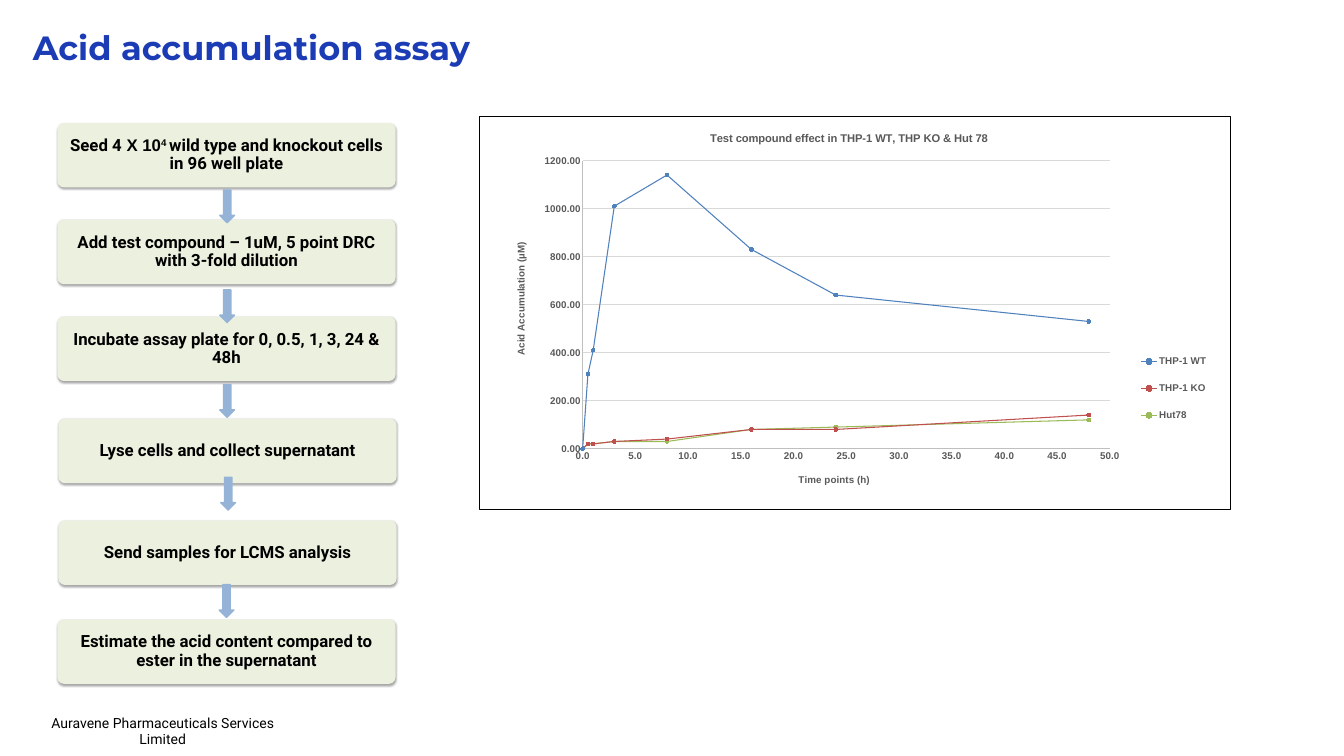
from lxml.etree import SubElement
from pptx import Presentation
from pptx.chart.data import XyChartData
from pptx.dml.color import RGBColor
from pptx.enum.chart import (XL_CHART_TYPE as ChartType, XL_LEGEND_POSITION as LegendPosition,
                             XL_MARKER_STYLE as Marker, XL_TICK_MARK as TickMark)
from pptx.enum.shapes import MSO_SHAPE as Shape
from pptx.enum.text import MSO_ANCHOR as Anchor, PP_ALIGN as Align
from pptx.oxml import parse_xml
from pptx.oxml.ns import nsdecls, qn
from pptx.util import Pt

STEP_HEIGHT = 92
ARROW_WIDTH, ARROW_HEIGHT = 21, 46.8
BOX_LEFT = 82
# Each step: left and top offset in the flow, then runs of (text, font, baseline)
STEPS = [
    (0, 0, [("Seed 4", "Roboto", 0), (" X 10", "Arial", 0), ("4 ", "Arial", 30000),
            ("wild type and knockout cells in 96 well plate", "Roboto", 0)]),
    (0, 138.3, [("Add test compound – 1uM, 5 point DRC with 3-fold dilution", "Roboto", 0)]),
    (0, 276.5, [("Incubate assay plate for 0, 0.5, 1, 3, 24 & 48h", "Roboto", 0)]),
    (1.5, 422.6, [("Lyse cells and collect supernatant", "Roboto", 0)]),
    (1.5, 568, [("Send samples for LCMS analysis", "Roboto", 0)]),
    (0, 709.2, [("Estimate the acid content compared to ester in the supernatant", "Roboto", 0)]),
]
ARROWS = [(232, 95.7), (232, 238.3), (232, 373.6), (233.4, 506.1), (231.2, 659.5)]

TIME_POINTS = [0, 0.5, 1, 3, 8, 16, 24, 48]
SERIES = [
    ("THP-1 WT", "4F81BD", [0, 310, 410, 1010, 1140, 830, 640, 530]),
    ("THP-1 KO", "C0504D", [0, 20, 20, 30, 40, 80, 80, 140]),
    ("Hut78", "9BBB59", [0, 20, 20, 30, 30, 80, 90, 120]),
]


def rgb(color):
    return RGBColor.from_string(color)


def style_font(font, size, name, color, bold=True):
    font.size, font.name, font.bold = Pt(size), name, bold
    font.color.rgb = rgb(color)


def style_line(line, color, width):
    line.color.rgb = rgb(color)
    line.width = Pt(width)


def set_margins(frame, left, top, right, bottom):
    frame.margin_left, frame.margin_top = Pt(left), Pt(top)
    frame.margin_right, frame.margin_bottom = Pt(right), Pt(bottom)


def fill_title(title, left, top, width, height):
    title.left, title.top, title.width, title.height = Pt(left), Pt(top), Pt(width), Pt(height)
    frame = title.text_frame
    frame.text = "Acid accumulation assay"
    frame.vertical_anchor = Anchor.MIDDLE
    set_margins(frame, 47, 0, 0, 0)
    frame.paragraphs[0].alignment = Align.LEFT
    style_font(frame.paragraphs[0].runs[0].font, 48, "Montserrat", "1C3CB6")


def add_soft_shadow(shape):
    shape._element.spPr.append(parse_xml(
        f'<a:effectLst {nsdecls("a")}><a:outerShdw blurRad="{Pt(3.1)}" dist="{Pt(1.8)}" '
        'dir="5400000" rotWithShape="0"><a:srgbClr val="000000"><a:alpha val="35000"/>'
        '</a:srgbClr></a:outerShdw></a:effectLst>'))


def add_step(shapes, left, top, width, runs):
    step = shapes.add_shape(Shape.ROUNDED_RECTANGLE, Pt(left), Pt(top), Pt(width), Pt(STEP_HEIGHT))
    step.adjustments[0] = 0.1
    step.fill.solid()
    step.fill.fore_color.rgb = rgb("EBF1DE")
    step.line.fill.background()
    add_soft_shadow(step)
    frame = step.text_frame
    frame.word_wrap = True
    frame.vertical_anchor = Anchor.MIDDLE
    set_margins(frame, 10, 10, 10, 10)
    paragraph = frame.paragraphs[0]
    paragraph.alignment = Align.CENTER
    paragraph.line_spacing = 0.9
    for text, font_name, baseline in runs:
        run = paragraph.add_run()
        run.text = text
        style_font(run.font, 24, font_name, "000000")
        if baseline:
            run.font._element.set("baseline", str(baseline))


def add_protocol(shapes, left, top, width):
    """Draw the assay steps from top to bottom, with arrows between them."""
    for dx, dy, runs in STEPS:
        add_step(shapes, left + dx, top + dy, width, runs)
    for dx, dy in ARROWS:
        arrow = shapes.add_shape(Shape.DOWN_ARROW, Pt(left + dx), Pt(top + dy),
                                 Pt(ARROW_WIDTH), Pt(ARROW_HEIGHT))
        arrow.shadow.inherit = False
        arrow.fill.solid()
        arrow.fill.fore_color.rgb = rgb("95B3D7")
        style_line(arrow.line, "95B3D7", 2)


def set_layout(element, inner=False, **fractions):
    """Place a chart part by fractions (x, y, w, h) of the chart area."""
    for old in element.findall(qn("c:layout")):
        element.remove(old)
    layout = element.makeelement(qn("c:layout"))
    manual = SubElement(layout, qn("c:manualLayout"))
    if inner:
        SubElement(manual, qn("c:layoutTarget")).set("val", "inner")
    for mode in ("xMode", "yMode"):
        SubElement(manual, qn(f"c:{mode}")).set("val", "edge")
    for key, value in fractions.items():
        SubElement(manual, qn(f"c:{key}")).set("val", str(value))
    before = [child for child in element if child.tag in (qn("c:tx"), qn("c:legendPos"))]
    element.insert(element.index(before[0]) + 1 if before else 0, layout)


def set_chart_title(title, text, size, x, y):
    title.text_frame.text = text
    style_font(title.text_frame.paragraphs[0].runs[0].font, size, "Arial", "595959")
    set_layout(title._element, x=x, y=y)


def style_axis(axis, maximum, step, number_format):
    axis.minimum_scale, axis.maximum_scale, axis.major_unit = 0, maximum, step
    axis.major_tick_mark = axis.minor_tick_mark = TickMark.NONE
    axis.tick_labels.number_format = number_format
    axis.tick_labels.number_format_is_linked = False
    style_font(axis.tick_labels.font, 14, "Arial", "595959")
    style_line(axis.format.line, "BFBFBF", 0.75)


def add_accumulation_chart(shapes, left, top, width, height):
    data = XyChartData()
    for name, _, values in SERIES:
        series = data.add_series(name)
        for hour, value in zip(TIME_POINTS, values):
            series.add_data_point(hour, value)
    chart = shapes.add_chart(ChartType.XY_SCATTER_LINES, Pt(left), Pt(top),
                             Pt(width), Pt(height), data).chart
    style_font(chart.font, 14, "Arial", "000000")
    chart.plots[0].vary_by_categories = False
    set_layout(chart._chartSpace.chart.plotArea, inner=True, x=0.138, y=0.114, w=0.702, h=0.732)
    chart._chartSpace.chart.addnext(parse_xml(
        f'<c:spPr {nsdecls("c", "a")}><a:solidFill><a:srgbClr val="FFFFFF"/></a:solidFill>'
        f'<a:ln w="{Pt(0.75)}"><a:solidFill><a:srgbClr val="000000"/></a:solidFill></a:ln></c:spPr>'))

    for series, (_, color, _) in zip(chart.plots[0].series, SERIES):
        series.smooth = False
        style_line(series.format.line, color, 1.5)
        series.marker.style, series.marker.size = Marker.CIRCLE, 5
        series.marker.format.fill.solid()
        series.marker.format.fill.fore_color.rgb = rgb(color)
        style_line(series.marker.format.line, color, 0.75)

    hours, amount = chart.category_axis, chart.value_axis
    style_axis(hours, 50, 5, "0.0")
    style_axis(amount, 1200, 200, "0.00")
    hours.has_major_gridlines = False
    amount.has_major_gridlines = True
    style_line(amount.major_gridlines.format.line, "D9D9D9", 0.75)

    chart.has_title = True
    set_chart_title(chart.chart_title, "Test compound effect in THP-1 WT, THP KO & Hut 78",
                    16, 0.305, 0.035)
    set_chart_title(hours.axis_title, "Time points (h)", 14, 0.423, 0.905)
    set_chart_title(amount.axis_title, "Acid Accumulation (µM)", 14, 0.045, 0.316)
    amount.axis_title.text_frame._txBody.bodyPr.set("rot", "-5400000")

    chart.has_legend = True
    chart.legend.position = LegendPosition.RIGHT
    chart.legend.include_in_layout = False
    style_font(chart.legend.font, 14, "Arial", "595959")
    set_layout(chart.legend._element, x=0.87, y=0.57, w=0.11, h=0.245)


def add_footer(shapes, left, top, width, height):
    frame = shapes.add_textbox(Pt(left), Pt(top), Pt(width), Pt(height)).text_frame
    frame.text = "Auravene Pharmaceuticals Services Limited"
    frame.word_wrap = False
    frame.vertical_anchor = Anchor.MIDDLE
    set_margins(frame, 4, 4, 4, 4)
    frame.paragraphs[0].alignment = Align.CENTER
    style_font(frame.paragraphs[0].runs[0].font, 20, "Roboto", "000000", bold=False)


def main():
    deck = Presentation()
    deck.slide_width, deck.slide_height = Pt(1920), Pt(1080)
    slide = deck.slides.add_slide(deck.slide_layouts[5])
    fill_title(slide.shapes.title, 0, 38, 1920, 58)
    add_protocol(slide.shapes, BOX_LEFT, 175.7, 483)
    add_accumulation_chart(slide.shapes, 684, 165, 1073.5, 563)
    add_footer(slide.shapes, 34, 1028, 397, 32.4)
    deck.save("out.pptx")


if __name__ == "__main__":
    main()
